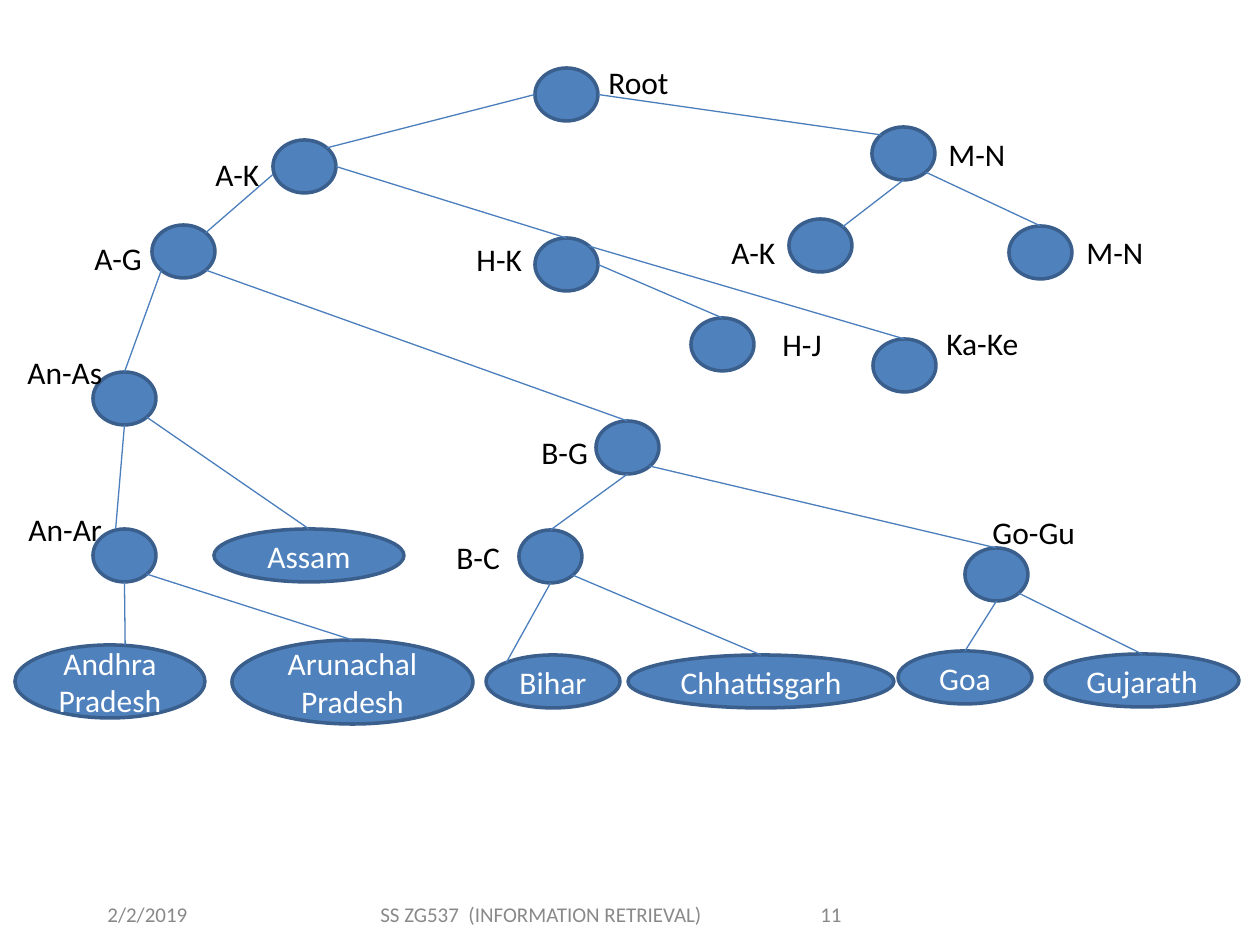
"""Builds a slide with a search tree over the names of Indian states."""
from lxml.etree import SubElement
from pptx import Presentation
from pptx.dml.color import RGBColor
from pptx.enum.shapes import MSO_CONNECTOR, MSO_SHAPE
from pptx.enum.text import MSO_ANCHOR, MSO_AUTO_SIZE, PP_ALIGN
from pptx.oxml.ns import qn
from pptx.util import Pt

BLUE = RGBColor(0x4F, 0x81, 0xBD)
OUTLINE = RGBColor(0x3A, 0x5F, 0x8C)
BRANCH = RGBColor(0x4B, 0x7E, 0xBC)
BLACK = RGBColor(0, 0, 0)
WHITE = RGBColor(0xFF, 0xFF, 0xFF)
GREY = RGBColor(0x89, 0x89, 0x89)
FONT = "Calibri"
SCALE = 914400 / 126
NODE_SIZE = (63, 53)
LABEL_HEIGHT = 50

# node: (left, top), label, (label left, label top, label width)
NODES = {
    "root": ((535, 68), "Root", (596, 57, 86)),
    "a-k": ((273, 140), "A-K", (203, 149, 71)),
    "m-n": ((872, 127), "M-N", (936, 129, 83)),
    "a-g": ((152, 225), "A-G", (82, 233, 73)),
    "h-k": ((535, 238), "H-K", (464, 234, 72)),
    "right a-k": ((789, 219), "A-K", (719, 227, 71)),
    "right m-n": ((1009, 226), "M-N", (1074, 227, 83)),
    "h-j": ((691, 318), "H-J", (770, 319, 66)),
    "ka-ke": ((873, 339), "Ka-Ke", (934, 318, 98)),
    "an-as": ((93, 372), "An-As", (15, 347, 101)),
    "b-g": ((596, 421), "B-G", (529, 427, 73)),
    "an-ar": ((93, 529), "An-Ar", (16, 504, 100)),
    "b-c": ((519, 530), "B-C", (444, 532, 69)),
    "go-gu": ((965, 548), "Go-Gu", (980, 507, 108)),
}
STATES = {
    "Assam": (214, 529, 190, 53),
    "Andhra Pradesh": (15, 645, 190, 73),
    "Arunachal Pradesh": (232, 640, 241, 84),
    "Bihar": (486, 655, 134, 53),
    "Chhattisgarh": (628, 655, 266, 53),
    "Goa": (898, 651, 134, 53),
    "Gujarath": (1045, 654, 194, 53),
}
FOOTER = [
    ("2/2/2019", 95, 120),
    ("SS ZG537  (INFORMATION RETRIEVAL)", 368, 380),
    ("11", 808, 60),
]

TOP, BOTTOM, LEFT, RIGHT = (0.5, 0), (0.5, 1), (0, 0.5), (1, 0.5)
TOP_LEFT, TOP_RIGHT = (0.15, 0.15), (0.85, 0.15)
BOTTOM_LEFT, BOTTOM_RIGHT = (0.15, 0.85), (0.85, 0.85)
BRANCHES = [
    ("root", LEFT, "a-k", TOP_RIGHT),
    ("root", RIGHT, "m-n", TOP_LEFT),
    ("a-k", (0, 0.65), "a-g", TOP_RIGHT),
    ("a-k", RIGHT, "h-k", TOP),
    ("m-n", BOTTOM, "right a-k", TOP_RIGHT),
    ("m-n", BOTTOM_RIGHT, "right m-n", TOP),
    ("a-g", BOTTOM_LEFT, "an-as", TOP),
    ("a-g", BOTTOM_RIGHT, "b-g", TOP),
    ("h-k", RIGHT, "h-j", TOP),
    ("h-k", TOP_RIGHT, "ka-ke", TOP),
    ("an-as", BOTTOM, "an-ar", (0.36, 0)),
    ("an-as", BOTTOM_RIGHT, "Assam", TOP),
    ("an-ar", BOTTOM, "Andhra Pradesh", (0.58, 0)),
    ("an-ar", BOTTOM_RIGHT, "Arunachal Pradesh", TOP),
    ("b-g", BOTTOM, "b-c", TOP),
    ("b-g", BOTTOM_RIGHT, "go-gu", TOP),
    ("b-c", BOTTOM, "Bihar", TOP_LEFT),
    ("b-c", BOTTOM_RIGHT, "Chhattisgarh", TOP),
    ("go-gu", BOTTOM, "Goa", TOP),
    ("go-gu", BOTTOM_RIGHT, "Gujarath", TOP),
]


def emu(*pixels):
    return [round(value * SCALE) for value in pixels]


def write(frame, words, size, color):
    run = frame.paragraphs[0].add_run()
    run.text = words
    run.font.name = FONT
    run.font.size = Pt(size)
    run.font.color.rgb = color


def add_oval(box, words=""):
    oval = slide.shapes.add_shape(MSO_SHAPE.OVAL, *emu(*box))
    oval.shadow.inherit = False
    oval.fill.solid()
    oval.fill.fore_color.rgb = BLUE
    oval.line.color.rgb = OUTLINE
    oval.line.width = Pt(2)
    if words:
        frame = oval.text_frame
        frame.word_wrap = True
        frame.vertical_anchor = MSO_ANCHOR.MIDDLE
        frame.paragraphs[0].alignment = PP_ALIGN.CENTER
        write(frame, words, 18, WHITE)


def add_label(words, box, size, color, anchor=MSO_ANCHOR.TOP):
    frame = slide.shapes.add_textbox(*emu(*box)).text_frame
    frame.word_wrap = False
    frame.auto_size = MSO_AUTO_SIZE.SHAPE_TO_FIT_TEXT
    frame.vertical_anchor = anchor
    write(frame, words, size, color)


def site(box, fraction):
    left, top, width, height = box
    return left + width * fraction[0], top + height * fraction[1]


def add_branch(start, end):
    branch = slide.shapes.add_connector(MSO_CONNECTOR.STRAIGHT, *emu(*start, *end))
    branch.line.color.rgb = BRANCH
    branch.line.width = Pt(0.75)
    SubElement(branch.element.spPr, qn("a:effectLst"))


deck = Presentation()
deck.slide_width, deck.slide_height = emu(1260, 945)
slide = deck.slides.add_slide(deck.slide_layouts[6])

boxes = {node: (*corner, *NODE_SIZE) for node, (corner, _, _) in NODES.items()}
for node_box in boxes.values():
    add_oval(node_box)
for state, state_box in STATES.items():
    add_oval(state_box, state)
boxes.update(STATES)

for parent, parent_site, child, child_site in BRANCHES:
    add_branch(site(boxes[parent], parent_site), site(boxes[child], child_site))
for _, label, (left, top, width) in NODES.values():
    add_label(label, (left, top, width, LABEL_HEIGHT), 18, BLACK)
for words, left, width in FOOTER:
    add_label(words, (left, 896, width, 36), 12, GREY, MSO_ANCHOR.MIDDLE)

deck.save("out.pptx")
